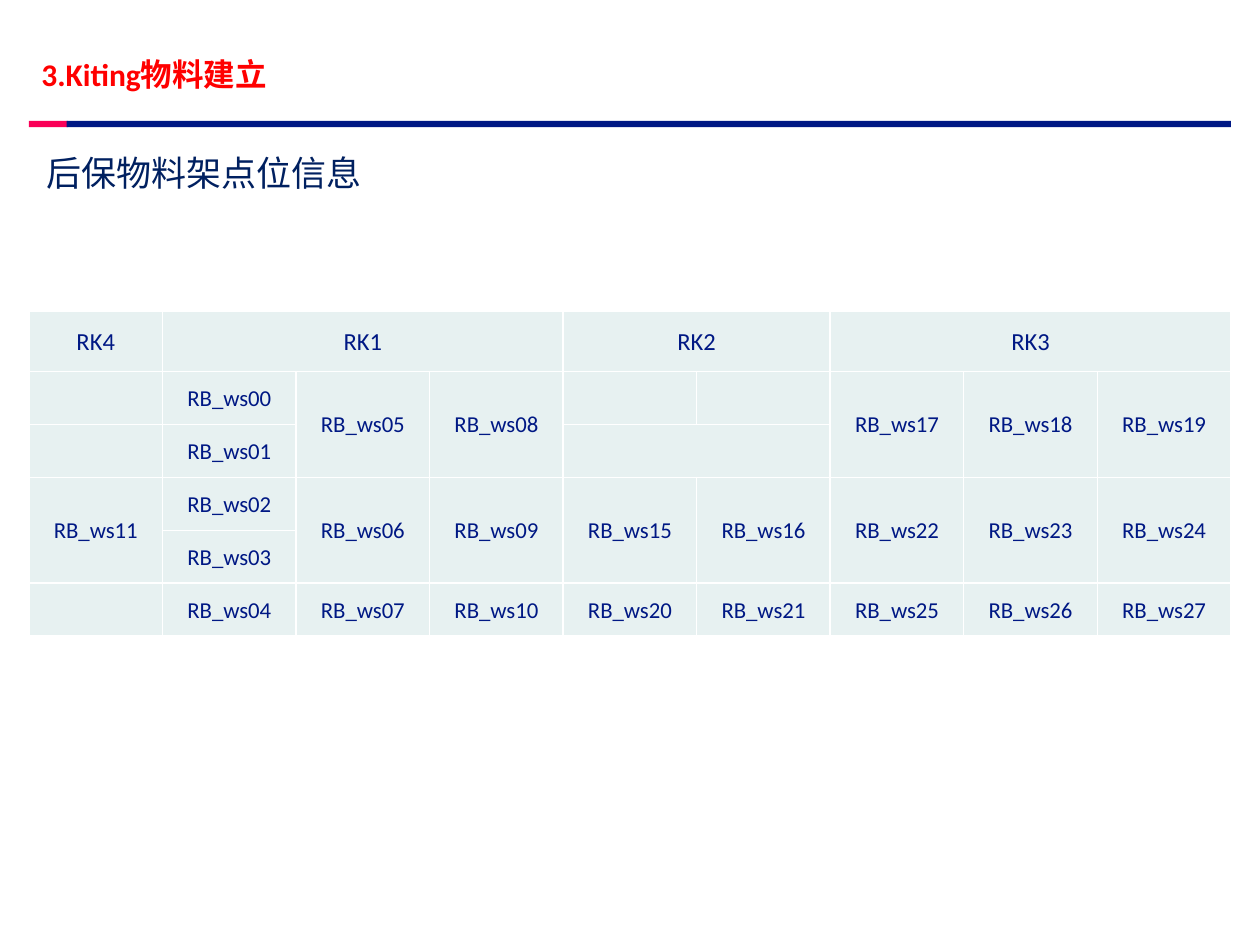
from lxml.etree import SubElement
from pptx import Presentation
from pptx.dml.color import RGBColor
from pptx.enum.shapes import MSO_SHAPE
from pptx.enum.text import MSO_ANCHOR, PP_ALIGN
from pptx.oxml.ns import qn
from pptx.util import Inches, Pt

COLORS = {
    "pink": "FA0057",
    "navy": "001884",
    "red": "FF0000",
    "ink": "002060",
    "cell": "E7F1F1",
    "white": "FFFFFF",
}
FONT = "Calibri"
HEADS = ["RK4", "RK1", "", "", "RK2", "", "RK3", "", ""]
SLOTS = [
    ["", "00", "05", "08", "", "", "17", "18", "19"],
    ["", "01", "", "", "", "", "", "", ""],
    ["11", "02", "06", "09", "15", "16", "22", "23", "24"],
    ["", "03", "", "", "", "", "", "", ""],
    ["", "04", "07", "10", "20", "21", "25", "26", "27"],
]
WIDE = [(0, 1, 3), (0, 4, 2), (0, 6, 3), (2, 4, 2)]
TALL = [(1, col) for col in (2, 3, 6, 7, 8)]
TALL += [(3, col) for col in (0, 2, 3, 4, 5, 6, 7, 8)]


def color(name):
    return RGBColor.from_string(COLORS[name])


def apply(item, values):
    for name, value in values.items():
        setattr(item, name, value)


def write(para, text, size, tint, bold=False):
    run = para.add_run()
    run.text = text
    apply(run.font, {"name": FONT, "size": Pt(size), "bold": bold})
    run.font.color.rgb = color(tint)


def add_bar(slide, left, width, tint):
    bar = slide.shapes.add_shape(
        MSO_SHAPE.RECTANGLE, Inches(left), Inches(0.96), Inches(width), Inches(0.05)
    )
    bar.shadow.inherit = False
    bar.fill.solid()
    bar.fill.fore_color.rgb = color(tint)
    bar.line.fill.background()


def add_label(slide, left, top, height, text, size, tint, bold=False):
    box = slide.shapes.add_textbox(
        Inches(left), Inches(top), Inches(8.65), Inches(height)
    )
    frame = box.text_frame
    apply(frame, {"word_wrap": True, "vertical_anchor": MSO_ANCHOR.MIDDLE})
    write(frame.paragraphs[0], text, size, tint, bold)


def add_edges(cell):
    props = cell._tc.get_or_add_tcPr()
    for side in ("lnL", "lnR", "lnT", "lnB"):
        line = SubElement(props, qn(f"a:{side}"), w=str(Pt(1)))
        fill = SubElement(line, qn("a:solidFill"))
        SubElement(fill, qn("a:srgbClr"), val=COLORS["white"])


def fill_cell(cell, text, size):
    apply(cell, {
        "margin_left": Inches(0.01),
        "margin_right": Inches(0.01),
        "margin_top": Inches(0.01),
        "margin_bottom": 0,
        "vertical_anchor": MSO_ANCHOR.MIDDLE,
    })
    add_edges(cell)
    cell.fill.solid()
    cell.fill.fore_color.rgb = color("cell")
    if text:
        para = cell.text_frame.paragraphs[0]
        para.alignment = PP_ALIGN.CENTER
        write(para, text, size, "navy")


def add_rack(slide):
    names = [[f"RB_ws{slot}" if slot else "" for slot in row] for row in SLOTS]
    rows = [HEADS] + names
    table = slide.shapes.add_table(
        len(rows), len(HEADS), Inches(0.23), Inches(2.47), Inches(9.54), Inches(2.58)
    ).table
    apply(table, {"first_row": False, "horz_banding": False})
    for col in table.columns:
        col.width = Inches(1.06)
    for r, row in enumerate(rows):
        table.rows[r].height = Inches(0.42 if r else 0.48)
        for c, text in enumerate(row):
            fill_cell(table.cell(r, c), text, 13 if r else 14)
    for r, c, span in WIDE:
        table.cell(r, c).merge(table.cell(r, c + span - 1))
    for r, c in TALL:
        table.cell(r, c).merge(table.cell(r + 1, c))


def main():
    deck = Presentation()
    apply(deck, {"slide_width": Inches(10), "slide_height": Inches(7.5)})
    slide = deck.slides.add_slide(deck.slide_layouts[6])
    add_bar(slide, 0.23, 0.31, "pink")
    add_bar(slide, 0.53, 9.24, "navy")
    add_label(slide, 0.23, 0.23, 0.72, "3.Kiting物料建立", 18, "red", True)
    add_label(slide, 0.27, 1.14, 0.46, "后保物料架点位信息", 20, "ink")
    add_rack(slide)
    deck.save("out.pptx")


if __name__ == "__main__":
    main()
